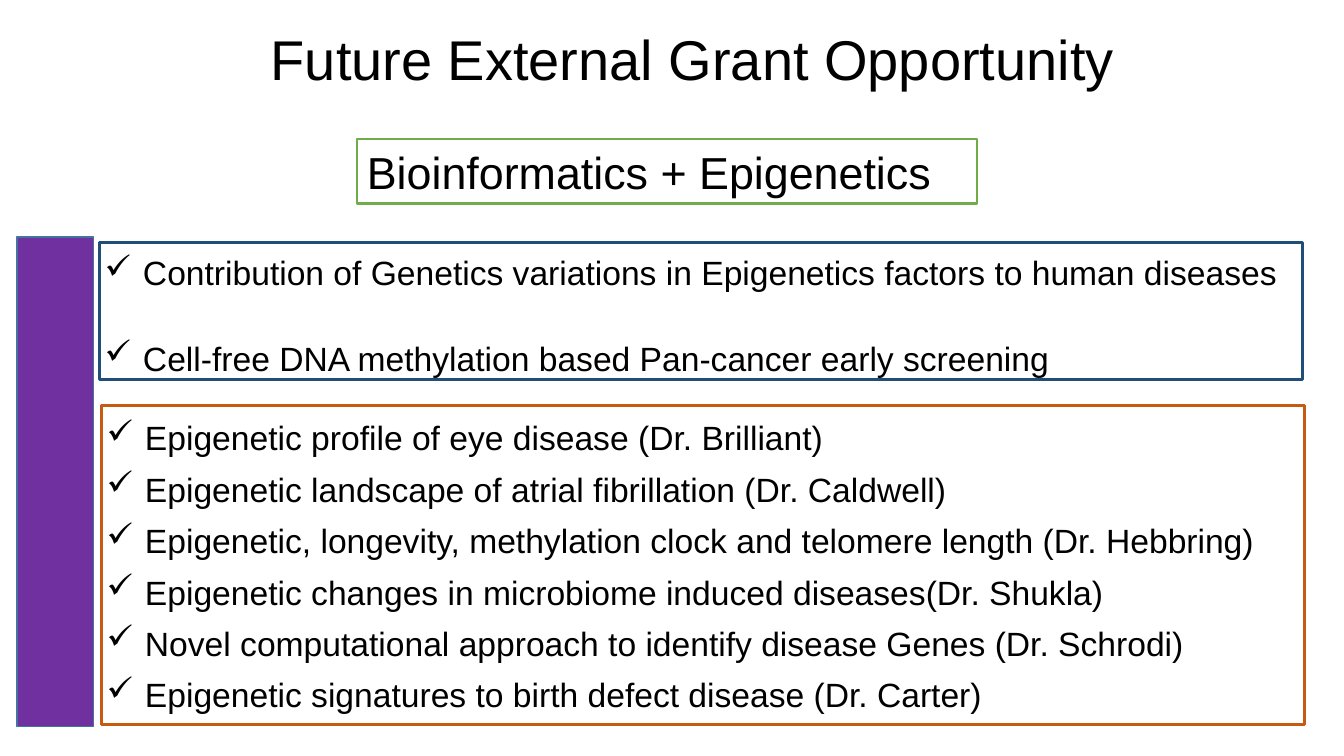
from lxml import etree
from pptx import Presentation
from pptx.dml.color import RGBColor
from pptx.enum.shapes import MSO_SHAPE
from pptx.enum.text import MSO_ANCHOR, PP_ALIGN
from pptx.oxml.ns import qn
from pptx.util import Inches, Pt

COLORS = {
    "text": "000000",
    "white": "FFFFFF",
    "green": "70AD47",
    "purple": "7030A0",
    "steel": "43739E",
    "orange": "C55A11",
    "navy": "1F4E79",
}
FONT = "Arial"

GENERAL_TOPICS = [
    "Contribution of Genetics variations in Epigenetics factors to human diseases",
    "Cell-free DNA methylation based Pan-cancer early screening",
]
DISEASE_TOPICS = [
    "Epigenetic profile of eye disease (Dr. Brilliant)",
    "Epigenetic landscape of atrial fibrillation (Dr. Caldwell)",
    "Epigenetic, longevity, methylation clock and telomere length (Dr. Hebbring)",
    "Epigenetic changes in microbiome induced diseases(Dr. Shukla)",
    "Novel computational approach to identify disease Genes (Dr. Schrodi)",
    "Epigenetic signatures to birth defect disease (Dr. Carter)",
]


def color(name):
    return RGBColor.from_string(COLORS[name])


def add_check(p):
    pPr = p._p.get_or_add_pPr()
    pPr.set("marL", str(Inches(0.38)))
    pPr.set("indent", str(-Inches(0.38)))
    etree.SubElement(pPr, qn("a:buChar")).set("char", "✓")


def write(sp, text, size=24, align=PP_ALIGN.LEFT, anchor=MSO_ANCHOR.TOP, check=False):
    tf = sp.text_frame
    tf.word_wrap = True
    tf.vertical_anchor = anchor
    p = tf.paragraphs[0]
    p.alignment = align
    if check:
        add_check(p)
    r = p.add_run()
    r.text = text
    r.font.size = Pt(size)
    r.font.name = FONT
    r.font.color.rgb = color("text")


def add_rect(s, box, line, width=2, fill=None):
    sp = s.shapes.add_shape(MSO_SHAPE.RECTANGLE, *map(Inches, box))
    sp.shadow.inherit = False
    if fill:
        sp.fill.solid()
        sp.fill.fore_color.rgb = color(fill)
    else:
        sp.fill.background()
    sp.line.color.rgb = color(line)
    sp.line.width = Pt(width)
    return sp


def add_heading(s, box):
    sp = s.shapes.add_textbox(*map(Inches, box))
    write(sp, "Future External Grant Opportunity", size=40, align=PP_ALIGN.CENTER)


def add_theme(s, box):
    sp = add_rect(s, box, "green", fill="white")
    write(sp, "Bioinformatics + Epigenetics", size=32, anchor=MSO_ANCHOR.MIDDLE)


def add_topics(s, box, topics, line, inset, pitch):
    left, top, width, height = box
    add_rect(s, box, line)
    for i, topic in enumerate(topics):
        item = (left - 0.05, top + inset + i * pitch, width + 0.2, 0.5)
        write(s.shapes.add_textbox(*map(Inches, item)), topic, check=True)


def main():
    prs = Presentation()
    prs.slide_width, prs.slide_height = Inches(13.33), Inches(7.5)
    s = prs.slides.add_slide(prs.slide_layouts[6])
    add_heading(s, (0.81, 0.19, 12.11, 0.77))
    add_theme(s, (3.54, 1.38, 6.15, 0.64))
    add_rect(s, (0.17, 2.35, 0.76, 4.86), "steel", width=1, fill="purple")
    add_topics(s, (0.99, 2.41, 11.93, 1.36), GENERAL_TOPICS, "navy", 0.04, 0.85)
    add_topics(s, (1.01, 4.02, 11.93, 3.17), DISEASE_TOPICS, "orange", 0.07, 0.51)
    prs.save("out.pptx")


if __name__ == "__main__":
    main()
